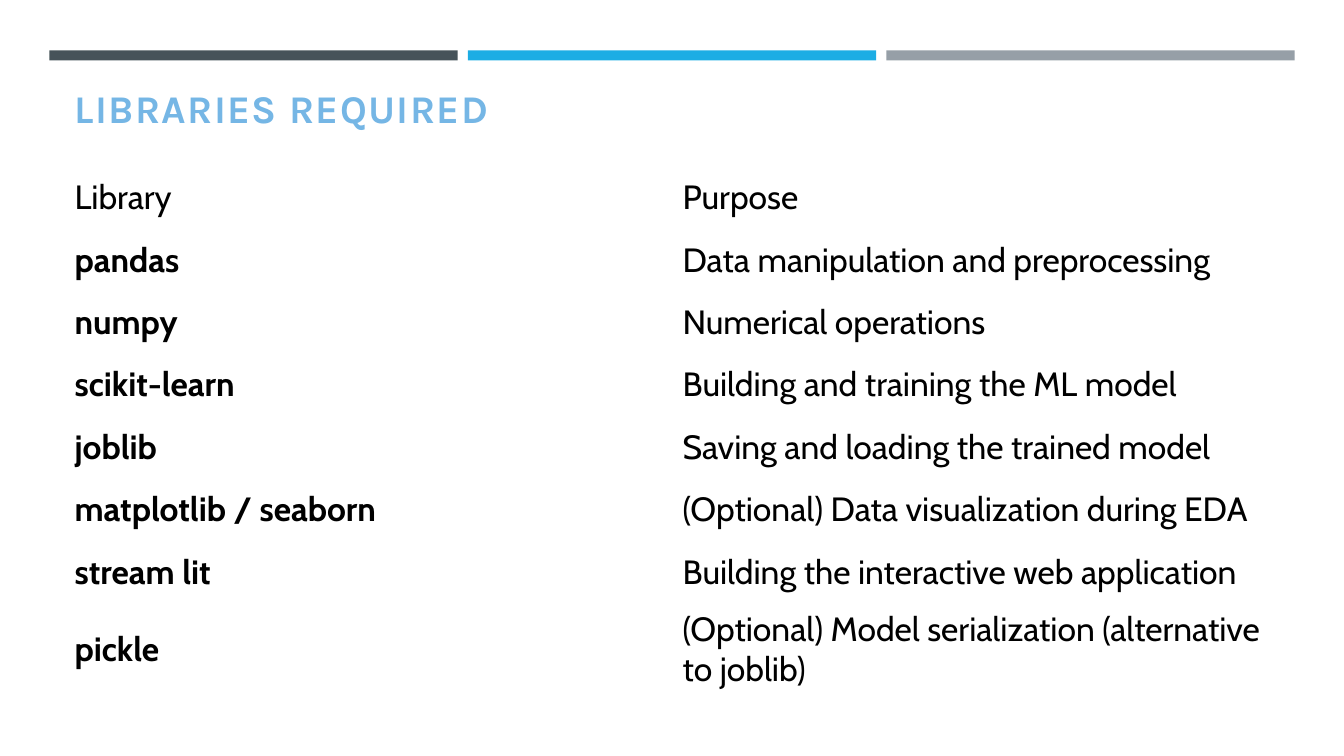
import pptx
import pptx.util
import pptx.dml.color
import pptx.enum.shapes
import pptx.enum.text

Inches = pptx.util.Inches
RGBColor = pptx.dml.color.RGBColor

SLATE = RGBColor(0x46, 0x53, 0x59)
BLUE = RGBColor(0x1C, 0xAD, 0xE4)
GREY = RGBColor(0x96, 0x9F, 0xA7)
TITLE_BLUE = RGBColor(0x75, 0xB6, 0xE5)
BLACK = RGBColor(0, 0, 0)

LIBRARIES = [
    ("Library", "Purpose"),
    ("pandas", "Data manipulation and preprocessing"),
    ("numpy", "Numerical operations"),
    ("scikit-learn", "Building and training the ML model"),
    ("joblib", "Saving and loading the trained model"),
    ("matplotlib / seaborn", "(Optional) Data visualization during EDA"),
    ("stream lit", "Building the interactive web application"),
    ("pickle", "(Optional) Model serialization (alternative to joblib)"),
]


def format_text(paragraph, font_name, size, color, bold):
    for run in paragraph.runs:
        run.font.name = font_name
        run.font.size = pptx.util.Pt(size)
        run.font.color.rgb = color
        run.font.bold = bold


def add_bars(slide, left, top, width, height):
    colors = [SLATE, BLUE, GREY]
    gap = 0.1
    bar_width = (width - gap * (len(colors) - 1)) / len(colors)
    for index, color in enumerate(colors):
        bar = slide.shapes.add_shape(
            pptx.enum.shapes.MSO_SHAPE.RECTANGLE,
            Inches(left + index * (bar_width + gap)), Inches(top),
            Inches(bar_width), Inches(height))
        bar.shadow.inherit = False
        bar.fill.solid()
        bar.fill.fore_color.rgb = color
        bar.line.fill.background()


def add_title(slide, left, top, width, height):
    title = slide.shapes.title
    title.left, title.top = Inches(left), Inches(top)
    title.width, title.height = Inches(width), Inches(height)
    text_frame = title.text_frame
    text_frame.text = "LIBRARIES REQUIRED"
    text_frame.word_wrap = True
    text_frame.auto_size = pptx.enum.text.MSO_AUTO_SIZE.NONE
    text_frame.vertical_anchor = pptx.enum.text.MSO_ANCHOR.BOTTOM
    paragraph = text_frame.paragraphs[0]
    paragraph.alignment = pptx.enum.text.PP_ALIGN.LEFT
    format_text(paragraph, "Karla", 28, TITLE_BLUE, True)
    paragraph.runs[0].font._element.set("spc", "100")


def add_library_table(slide, left, top, width, row_height):
    table = slide.shapes.add_table(
        len(LIBRARIES), 2, Inches(left), Inches(top),
        Inches(width), Inches(row_height * len(LIBRARIES))).table
    table.first_row = False
    table.horz_banding = False
    for row_index, texts in enumerate(LIBRARIES):
        for column_index, text in enumerate(texts):
            cell = table.cell(row_index, column_index)
            cell.fill.background()
            cell.vertical_anchor = pptx.enum.text.MSO_ANCHOR.MIDDLE
            cell.text_frame.text = text
            is_library = row_index > 0 and column_index == 0
            format_text(cell.text_frame.paragraphs[0], "Cabin", 24, BLACK, is_library)


def main():
    presentation = pptx.Presentation()
    presentation.slide_width = Inches(13.33)
    presentation.slide_height = Inches(7.5)
    slide = presentation.slides.add_slide(presentation.slide_layouts[5])
    add_bars(slide, 0.49, 0.5, 12.35, 0.1)
    add_title(slide, 0.64, 0.77, 12.06, 0.58)
    add_library_table(slide, 0.64, 1.65, 12.06, 0.62)
    presentation.save("out.pptx")


if __name__ == "__main__":
    main()
